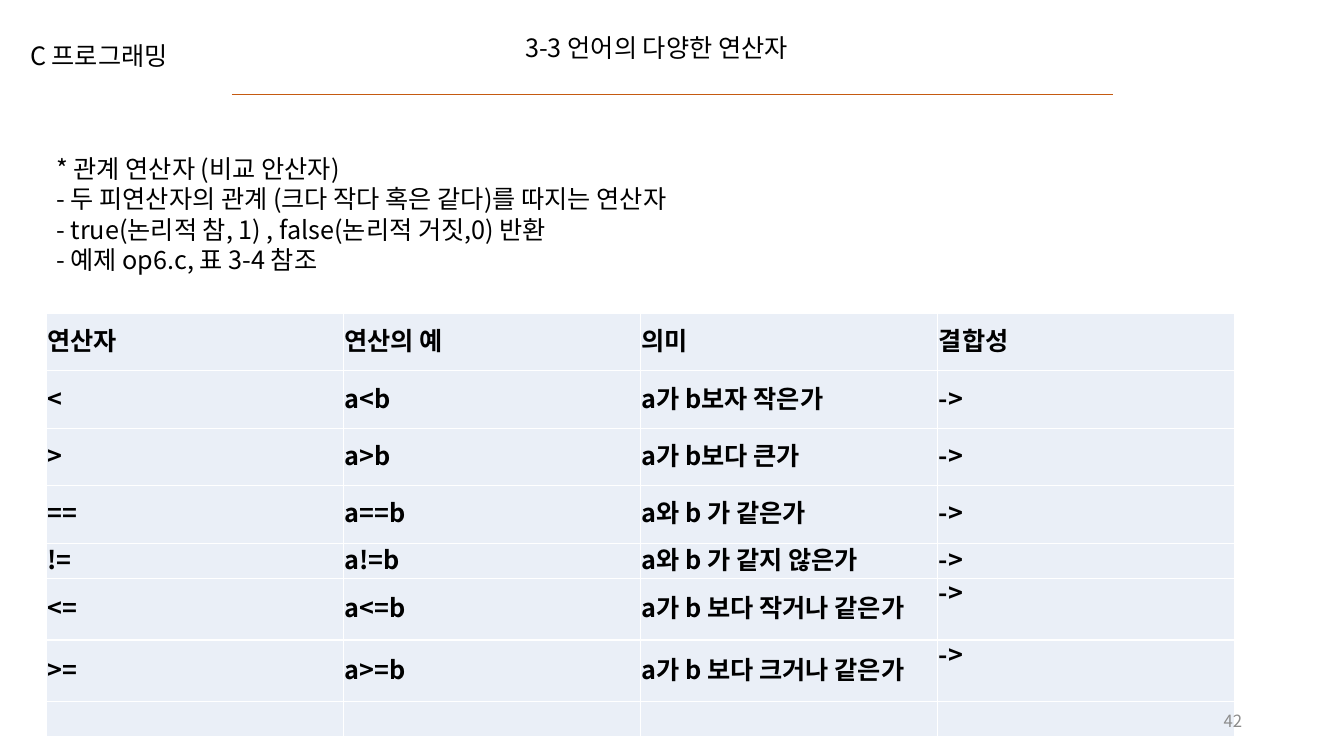
"""Build the slide on the relational operators of C."""
from typing import NamedTuple

import lxml.etree
import pptx
import pptx.dml.color
import pptx.enum.shapes
import pptx.enum.text
import pptx.oxml.ns
import pptx.util

PX = 9144
FONT = "Noto Sans CJK KR"
COLORS = {
    "ink": "000000",
    "rule": "C55A11",
    "cell": "EAEFF7",
    "border": "FFFFFF",
    "number": "8C8C8C",
}
ALIGN = pptx.enum.text.PP_ALIGN
ANCHOR = pptx.enum.text.MSO_ANCHOR


class Frame(NamedTuple):
    """A rectangle in px."""

    left: int
    top: int
    width: int
    height: int


class Label(NamedTuple):
    """A text box with its format."""

    frame: Frame
    text: str
    size: int = 18
    color: str = "ink"
    align: ALIGN = ALIGN.LEFT
    anchor: ANCHOR = ANCHOR.TOP


class Row(NamedTuple):
    """A table row; arrow_anchor places the last cell's text."""

    height: int
    cells: tuple[str, ...]
    arrow_anchor: ANCHOR = ANCHOR.MIDDLE


TITLE = Label(Frame(511, 27, 312, 40), "3-3 언어의 다양한 연산자")
LABELS = (
    Label(Frame(20, 35, 171, 40), "C 프로그래밍"),
    Label(
        Frame(46, 147, 707, 131),
        "* 관계 연산자 (비교 안산자)\n"
        "- 두 피연산자의 관계 (크다 작다 혹은 같다)를 따지는 연산자\n"
        "- true(논리적 참, 1) , false(논리적 거짓,0) 반환\n"
        "- 예제 op6.c, 표 3-4 참조",
    ),
)
PAGE_NUMBER = Label(Frame(942, 695, 300, 40), "42", 12, "number", ALIGN.RIGHT, ANCHOR.MIDDLE)
RULE = Frame(230, 94, 874, 0)
TABLE = Frame(46, 311, 1179, 420)
ROWS = (
    Row(57, ("연산자", "연산의 예", "의미", "결합성")),
    Row(57, ("<", "a<b", "a가 b보자 작은가", "->")),
    Row(57, (">", "a>b", "a가 b보다 큰가", "->")),
    Row(57, ("==", "a==b", "a와 b 가 같은가", "->")),
    Row(35, ("!=", "a!=b", "a와 b 가 같지 않은가", "->")),
    Row(61, ("<=", "a<=b", "a가 b 보다 작거나 같은가", "->"), ANCHOR.TOP),
    Row(61, (">=", "a>=b", "a가 b 보다 크거나 같은가", "->"), ANCHOR.TOP),
    Row(35, ("", "", "", "")),
)


def px(length: int) -> pptx.util.Emu:
    """Turn px into EMU."""
    return pptx.util.Emu(length * PX)


def rgb(name: str) -> pptx.dml.color.RGBColor:
    """Look up a named colour."""
    return pptx.dml.color.RGBColor.from_string(COLORS[name])


def write_text(text_frame, text: str, *, size: int = 18, color: str = "ink",
               align: ALIGN = ALIGN.LEFT, bold: bool = False) -> None:
    """Fill a text frame with one formatted paragraph per line of text."""
    for index, line in enumerate(text.split("\n")):
        para = text_frame.paragraphs[0] if index == 0 else text_frame.add_paragraph()
        para.alignment = align
        para.line_spacing = pptx.util.Pt(round(size * 1.205, 1))
        para.space_before = para.space_after = pptx.util.Pt(0)
        span = para.add_run()
        span.text = line
        span.font.name = FONT
        span.font.size = pptx.util.Pt(size)
        span.font.bold = bold
        span.font.color.rgb = rgb(color)
        east_asian = lxml.etree.SubElement(span.font._element, pptx.oxml.ns.qn("a:ea"))
        east_asian.set("typeface", FONT)


def format_label(box, label: Label) -> None:
    """Place a box and write its label."""
    box.left, box.top, box.width, box.height = map(px, label.frame)
    text_frame = box.text_frame
    text_frame.word_wrap = True
    text_frame.auto_size = pptx.enum.text.MSO_AUTO_SIZE.NONE
    text_frame.vertical_anchor = label.anchor
    write_text(text_frame, label.text, size=label.size, color=label.color, align=label.align)


def add_label(page, label: Label) -> None:
    """Add a text box to the page."""
    format_label(page.shapes.add_textbox(*map(px, label.frame)), label)


def add_rule(page, frame: Frame) -> None:
    """Add the line under the title."""
    rule = page.shapes.add_connector(
        pptx.enum.shapes.MSO_CONNECTOR.STRAIGHT,
        px(frame.left), px(frame.top),
        px(frame.left + frame.width), px(frame.top + frame.height),
    )
    rule.line.color.rgb = rgb("rule")
    rule.line.width = pptx.util.Pt(0.5)
    lxml.etree.SubElement(rule._element.spPr, pptx.oxml.ns.qn("a:effectLst"))


def set_borders(cell) -> None:
    """Draw the four borders of a cell."""
    properties = cell._tc.get_or_add_tcPr()
    for index, side in enumerate(("lnL", "lnR", "lnT", "lnB")):
        line = lxml.etree.Element(pptx.oxml.ns.qn(f"a:{side}"), w=str(pptx.util.Pt(1)))
        fill = lxml.etree.SubElement(line, pptx.oxml.ns.qn("a:solidFill"))
        lxml.etree.SubElement(fill, pptx.oxml.ns.qn("a:srgbClr"), val=COLORS["border"])
        properties.insert(index, line)


def add_operator_table(page, frame: Frame, rows: tuple[Row, ...]) -> None:
    """Add the table of operators with equal columns."""
    column_count = len(rows[0].cells)
    table = page.shapes.add_table(len(rows), column_count, *map(px, frame)).table
    table.first_row = table.horz_banding = False
    for column in table.columns:
        column.width = px(frame.width) // column_count
    for row_index, row in enumerate(rows):
        table.rows[row_index].height = px(row.height)
        for column_index, text in enumerate(row.cells):
            cell = table.cell(row_index, column_index)
            cell.margin_left = cell.margin_right = cell.margin_top = px(1)
            cell.margin_bottom = px(0)
            is_arrow = column_index == column_count - 1
            cell.vertical_anchor = row.arrow_anchor if is_arrow else ANCHOR.MIDDLE
            cell.fill.solid()
            cell.fill.fore_color.rgb = rgb("cell")
            set_borders(cell)
            if text:
                write_text(cell.text_frame, text, bold=True)


def main() -> None:
    """Build and save the deck."""
    deck = pptx.Presentation()
    deck.slide_width, deck.slide_height = px(1333), px(750)
    page = deck.slides.add_slide(deck.slide_layouts.get_by_name("Title Only"))
    add_rule(page, RULE)
    format_label(page.shapes.title, TITLE)
    for label in LABELS:
        add_label(page, label)
    add_operator_table(page, TABLE, ROWS)
    add_label(page, PAGE_NUMBER)
    deck.save("out.pptx")


if __name__ == "__main__":
    main()
